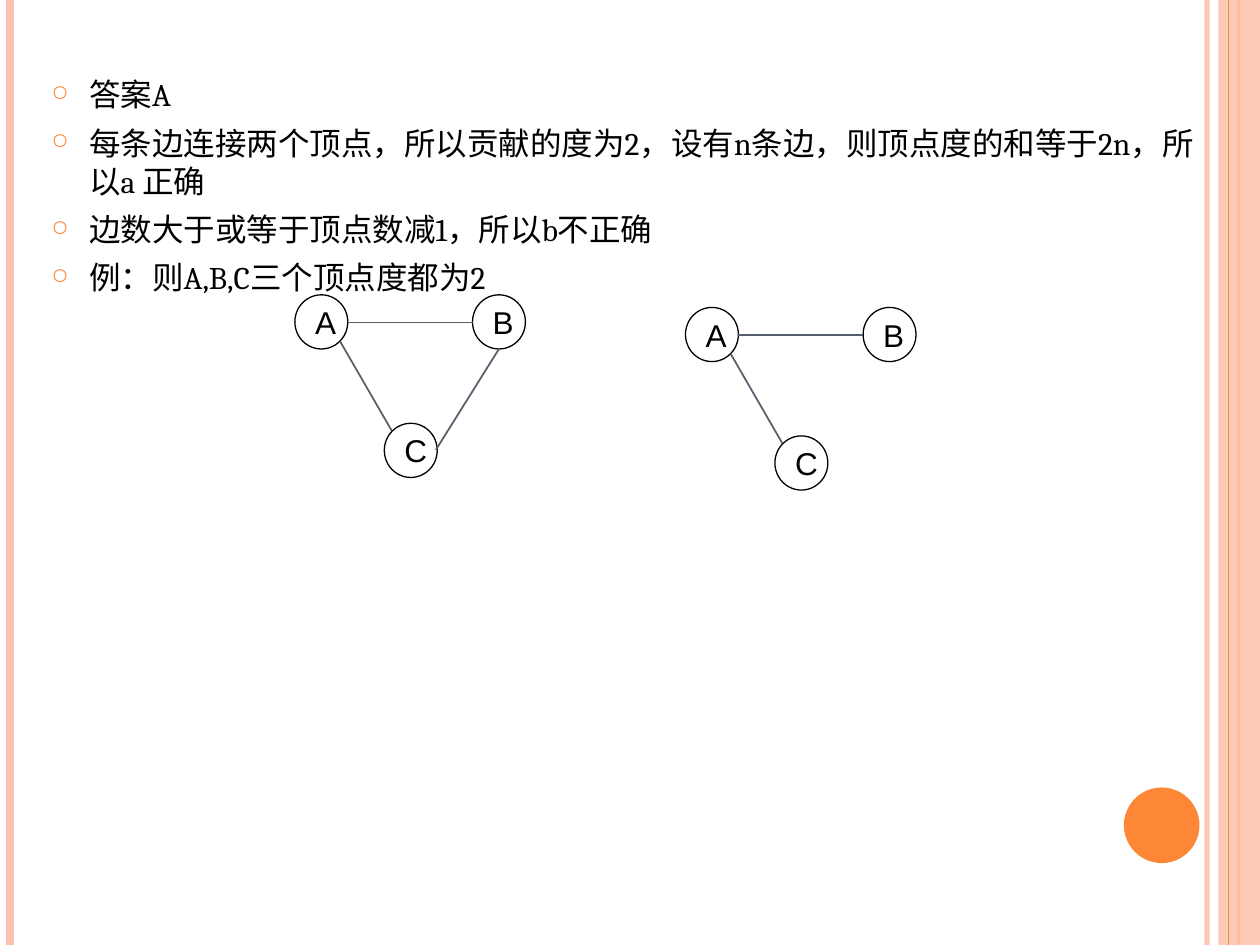
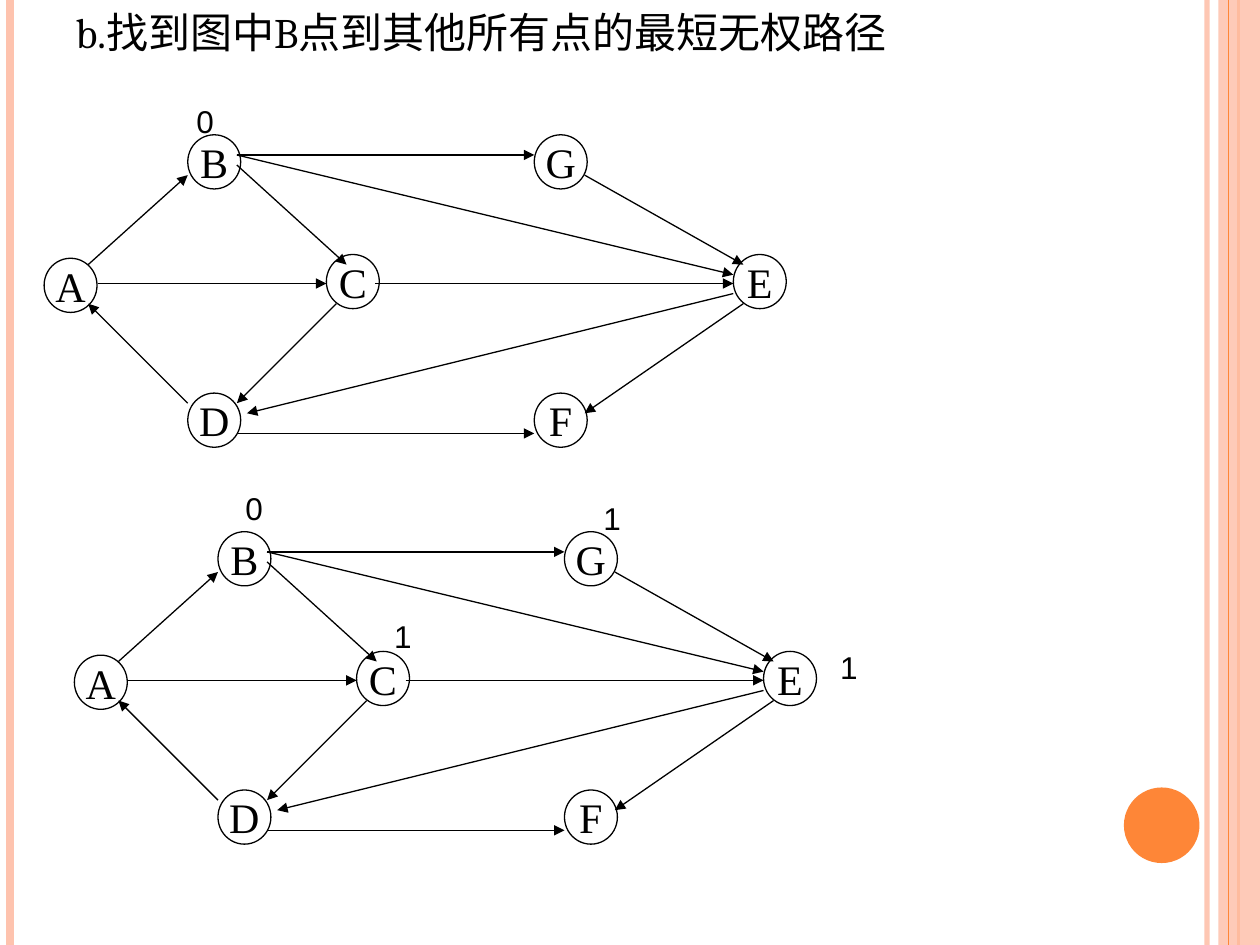
from lxml import etree
from pptx import Presentation
from pptx.dml.color import RGBColor
from pptx.enum.shapes import MSO_CONNECTOR, MSO_SHAPE
from pptx.enum.text import MSO_ANCHOR, MSO_AUTO_SIZE, PP_ALIGN
from pptx.oxml.ns import qn
from pptx.util import Inches, Pt

BLACK = RGBColor(0x00, 0x00, 0x00)
ORANGE = RGBColor(0xFE, 0x86, 0x37)
PEACH = RGBColor(0xFE, 0xC3, 0xAE)
SLATE = RGBColor(0x57, 0x5F, 0x6D)

TITLE_ONLY, BLANK = 5, 6
SLIDE_WIDTH, SLIDE_HEIGHT = 10, 7.5
NODE_WIDTH, NODE_HEIGHT = 0.42, 0.43

ANSWERS = [
    "答案A",
    "每条边连接两个顶点，所以贡献的度为2，设有n条边，则顶点度的和等于2n，所以a 正确",
    "边数大于或等于顶点数减1，所以b不正确",
    "例：则A,B,C三个顶点度都为2",
]

# Nodes, edges and distance labels are measured from the graph's top left corner.
TRIANGLE_NODES = {"A": (0, 0), "C": (0.71, 1.02), "B": (1.41, 0)}
OPEN_EDGES = [
    ((0.36, 0.37), (0.77, 1.08)),  # A-C
    ((0.42, 0.22), (1.41, 0.22)),  # A-B
]
CLOSED_EDGES = OPEN_EDGES + [((1.62, 0.43), (1.12, 1.23))]  # B-C

PATH_NODES = {
    "A": (0, 0.98),
    "B": (1.14, 0),
    "D": (1.14, 2.05),
    "G": (3.89, 0),
    "F": (3.89, 2.05),
    "C": (2.24, 0.95),
    "E": (5.47, 0.95),
}
PATH_EDGES = [
    ((0.35, 1.03), (1.14, 0.32)),  # A to B
    ((1.14, 2.13), (0.35, 1.34)),  # D to A
    ((0.43, 1.18), (2.24, 1.18)),  # A to C
    ((1.53, 0.24), (2.40, 1.03)),  # B to C
    ((2.32, 1.34), (1.53, 2.13)),  # C to D
    ((2.63, 1.18), (5.47, 1.18)),  # C to E
    ((1.53, 0.16), (3.89, 0.16)),  # B to G
    ((4.29, 0.32), (5.55, 1.03)),  # G to E
    ((1.53, 0.16), (5.47, 1.11)),  # B to E
    ((1.53, 2.37), (3.89, 2.37)),  # D to F
    ((5.47, 1.26), (1.61, 2.21)),  # E to D
    ((5.55, 1.34), (4.29, 2.21)),  # E to F
]
START_DISTANCES = [("0", 1.11, -0.31)]
FIRST_DISTANCES = [
    ("1", 2.44, 0.63),
    ("1", 4.10, -0.31),
    ("0", 1.26, -0.39),
    ("1", 5.98, 0.87),
]


def set_font(paragraph, name, size):
    paragraph.font.name = name
    paragraph.font.size = Pt(size)
    paragraph.font.color.rgb = BLACK


def set_alpha(fill, percent):
    color = fill._xPr.find(".//" + qn("a:srgbClr"))
    etree.SubElement(color, qn("a:alpha"), val=str(percent * 1000))


def add_line(shapes, start, end, color, width, arrow=False):
    points = [Inches(value) for value in (*start, *end)]
    line = shapes.add_connector(MSO_CONNECTOR.STRAIGHT, *points)
    line.line.color.rgb = color
    line.line.width = Pt(width)
    if arrow:
        etree.SubElement(line.line._get_or_add_ln(), qn("a:tailEnd"), type="triangle")
    etree.SubElement(line._element.spPr, qn("a:effectLst"))
    return line


def add_filled_shape(slide, preset, left, top, width, height, color):
    shape = slide.shapes.add_shape(
        preset, Inches(left), Inches(top), Inches(width), Inches(height))
    shape.shadow.inherit = False
    shape.fill.solid()
    shape.fill.fore_color.rgb = color
    shape.line.fill.background()
    return shape


def add_frame(slide):
    """Draw the side stripes and the corner dot shared by all slides."""

    def stripe(x, color, width):
        return add_line(slide.shapes, (x, 0), (x, SLIDE_HEIGHT), color, width)

    set_alpha(stripe(9.58, PEACH, 3).line.fill, 93)
    stripe(0.08, PEACH, 4.5)
    stripe(9.83, ORANGE, 1.5)
    band = add_filled_shape(
        slide, MSO_SHAPE.RECTANGLE, 9.67, 0, 0.33, SLIDE_HEIGHT, PEACH)
    set_alpha(band.fill, 87)
    stripe(9.75, ORANGE, 0.75)
    add_filled_shape(slide, MSO_SHAPE.OVAL, 8.92, 6.25, 0.6, 0.6, ORANGE)


def add_bullet(paragraph):
    properties = paragraph._p.get_or_add_pPr()
    properties.set("marL", str(Inches(0.3)))
    properties.set("indent", str(-Inches(0.3)))
    color = etree.SubElement(properties, qn("a:buClr"))
    etree.SubElement(color, qn("a:srgbClr"), val=str(ORANGE))
    etree.SubElement(properties, qn("a:buSzPct"), val="70000")
    etree.SubElement(properties, qn("a:buChar"), char="○")


def add_answer_list(slide, left, top, width, height):
    box = slide.shapes.add_textbox(
        Inches(left), Inches(top), Inches(width), Inches(height))
    frame = box.text_frame
    frame.word_wrap = True
    for index, answer in enumerate(ANSWERS):
        paragraph = frame.add_paragraph() if index else frame.paragraphs[0]
        paragraph.text = answer
        add_bullet(paragraph)
        if index:
            paragraph.space_before = Pt(6)
        set_font(paragraph, "Cambria", 18)


def add_node(shapes, name, left, top, font_name, size, alignment):
    node = shapes.add_shape(
        MSO_SHAPE.OVAL, Inches(left), Inches(top),
        Inches(NODE_WIDTH), Inches(NODE_HEIGHT))
    node.shadow.inherit = False
    node.fill.background()
    node.line.color.rgb = BLACK
    node.line.width = Pt(0.75)
    frame = node.text_frame
    frame.word_wrap = False
    frame.vertical_anchor = MSO_ANCHOR.MIDDLE
    paragraph = frame.paragraphs[0]
    paragraph.text = name
    paragraph.alignment = alignment
    set_font(paragraph, font_name, size)


def add_graph(shapes, left, top, nodes, edges, node_style, edge_style):
    for name, (x, y) in nodes.items():
        add_node(shapes, name, left + x, top + y, *node_style)
    for start, end in edges:
        add_line(shapes, (left + start[0], top + start[1]),
                 (left + end[0], top + end[1]), *edge_style)


def add_triangle_graph(slide, left, top, edges):
    add_graph(slide.shapes, left, top, TRIANGLE_NODES, edges,
              ("Arial", 18, PP_ALIGN.LEFT), (SLATE, 1))


def add_path_graph(slide, left, top, distances):
    group = slide.shapes.add_group_shape()
    add_graph(group.shapes, left, top, PATH_NODES, PATH_EDGES,
              ("Times New Roman", 24, PP_ALIGN.CENTER), (BLACK, 0.75, True))
    for distance, x, y in distances:
        label = slide.shapes.add_textbox(
            Inches(left + x), Inches(top + y), Inches(0.4), Inches(0.4))
        label.text_frame.word_wrap = True
        paragraph = label.text_frame.paragraphs[0]
        paragraph.text = distance
        set_font(paragraph, "Arial", 18)


def format_title(slide, title_text, left, top, width, height):
    title = slide.shapes.title
    title.left, title.top = Inches(left), Inches(top)
    title.width, title.height = Inches(width), Inches(height)
    frame = title.text_frame
    frame.auto_size = MSO_AUTO_SIZE.NONE
    frame.vertical_anchor = MSO_ANCHOR.TOP
    paragraph = frame.paragraphs[0]
    paragraph.text = title_text
    paragraph.alignment = PP_ALIGN.LEFT
    set_font(paragraph, "Cambria", 24)


def add_slide(presentation, layout):
    slide = presentation.slides.add_slide(presentation.slide_layouts[layout])
    add_frame(slide)
    return slide


def build_answer_slide(presentation):
    slide = add_slide(presentation, BLANK)
    add_answer_list(slide, 0.31, 0.55, 9.34, 5.87)
    add_triangle_graph(slide, 2.34, 2.34, CLOSED_EDGES)
    add_triangle_graph(slide, 5.44, 2.44, OPEN_EDGES)


def build_shortest_path_slide(presentation):
    slide = add_slide(presentation, TITLE_ONLY)
    format_title(slide, "b.找到图中B点到其他所有点的最短无权路径", 0.5, 0, 9, 0.6)
    add_path_graph(slide, 0.35, 1.07, START_DISTANCES)
    add_path_graph(slide, 0.59, 4.22, FIRST_DISTANCES)


def main():
    presentation = Presentation()
    presentation.slide_width = Inches(SLIDE_WIDTH)
    presentation.slide_height = Inches(SLIDE_HEIGHT)
    build_answer_slide(presentation)
    build_shortest_path_slide(presentation)
    presentation.save("out.pptx")


if __name__ == "__main__":
    main()
